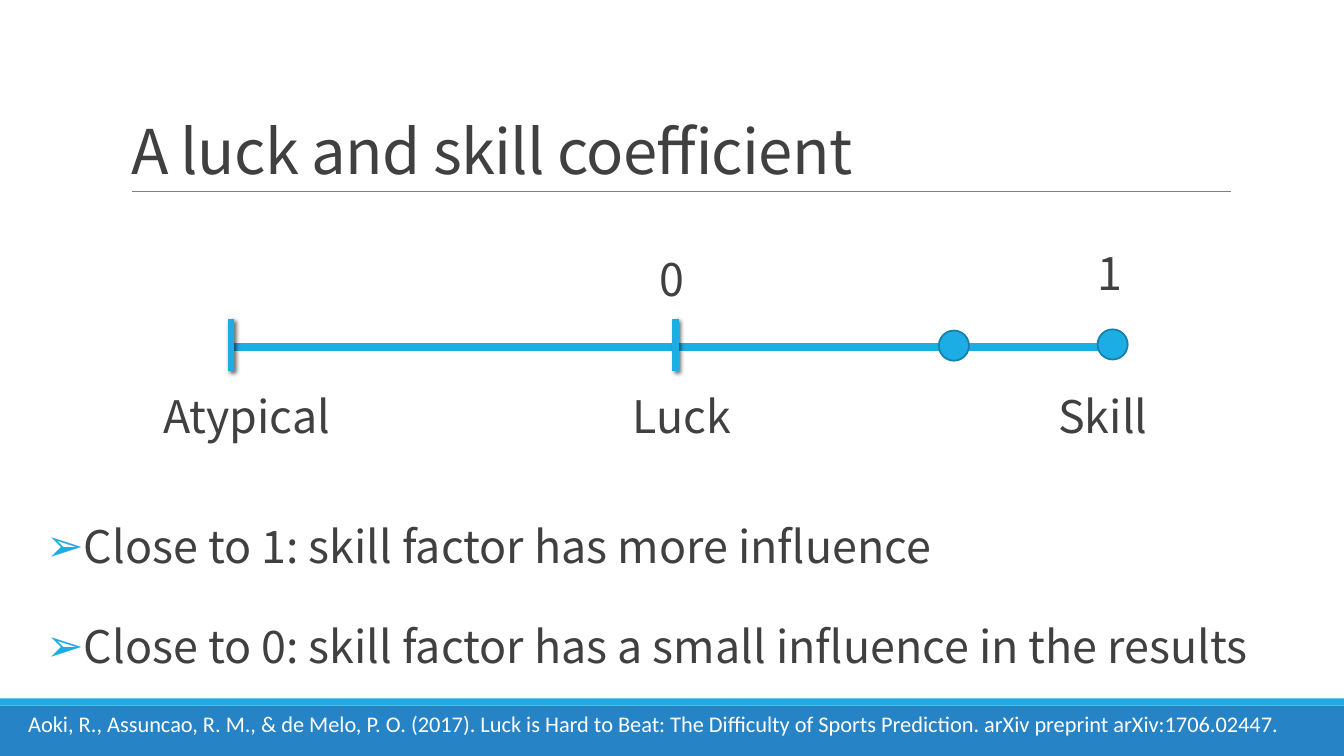
import pptx
import pptx.dml.color
import pptx.enum.shapes
import pptx.enum.text
import pptx.oxml
import pptx.oxml.ns
import pptx.util
import lxml.etree

Cm = pptx.util.Cm
Pt = pptx.util.Pt
Shape = pptx.enum.shapes.MSO_SHAPE
Anchor = pptx.enum.text.MSO_ANCHOR
qn = pptx.oxml.ns.qn

COLOURS = {
    "text": "404040",
    "accent": "1CADE4",
    "outline": "1580A9",
    "band": "2683C6",
    "rule": "808080",
    "shadow": "000000",
    "white": "FFFFFF",
}
HEADING_FONT = "Noto Sans CJK SC"
CITATION_FONT = "Calibri"
PAGE_WIDTH, PAGE_HEIGHT = 33.87, 19.05


def colour(name):
    return pptx.dml.color.RGBColor.from_string(COLOURS[name])


def add_span(para, text, size, font=HEADING_FONT, ink="text"):
    span = para.add_run()
    span.text = text
    span.font.name = font
    span.font.size = Pt(size)
    span.font.color.rgb = colour(ink)
    return span


def place(shape, left, top, width, height):
    shape.left, shape.top = Cm(left), Cm(top)
    shape.width, shape.height = Cm(width), Cm(height)


def add_label(page, text, left, top, width, height):
    box = page.shapes.add_textbox(Cm(left), Cm(top), Cm(width), Cm(height))
    box.text_frame.word_wrap = True
    para = box.text_frame.paragraphs[0]
    para.line_spacing = 0.9
    add_span(para, text, 32)


def add_filled(page, kind, left, top, width, height, fill, outline=None):
    shape = page.shapes.add_shape(kind, Cm(left), Cm(top), Cm(width), Cm(height))
    shape.shadow.inherit = False
    shape.fill.solid()
    shape.fill.fore_color.rgb = colour(fill)
    if outline:
        shape.line.color.rgb = colour(outline)
        shape.line.width = Pt(1.25)
    else:
        shape.line.fill.background()


def add_line(page, start, end, ink, weight, shadow=False):
    line = page.shapes.add_connector(
        pptx.enum.shapes.MSO_CONNECTOR.STRAIGHT, *(Cm(value) for value in start + end))
    line.line.color.rgb = colour(ink)
    line.line.width = Pt(weight)
    effects = lxml.etree.SubElement(line._element.spPr, qn("a:effectLst"))
    if shadow:
        outer = lxml.etree.SubElement(
            effects, qn("a:outerShdw"), blurRad=str(Pt(3)), dist=str(Pt(2)),
            dir="2700000", algn="tl", rotWithShape="0")
        shade = lxml.etree.SubElement(outer, qn("a:srgbClr"), val=COLOURS["shadow"])
        lxml.etree.SubElement(shade, qn("a:alpha"), val="60000")


def build_title(page, left, top, width, height):
    title = page.shapes.title
    place(title, left, top, width, height)
    title.text_frame.auto_size = pptx.enum.text.MSO_AUTO_SIZE.NONE
    title.text_frame.vertical_anchor = Anchor.BOTTOM
    para = title.text_frame.paragraphs[0]
    para.alignment = pptx.enum.text.PP_ALIGN.LEFT
    para.line_spacing = 0.85
    span = add_span(para, "A luck and skill coefficient", 44)
    span.font._element.set("spc", "-50")
    # Rule under the title
    bottom = top + height
    add_line(page, (left + 0.28, bottom), (left + width + 0.02, bottom), "rule", 0.5)


def build_scale(page, left, top, width, height):
    axis = top + height / 2
    middle = left + width / 2
    right = left + width
    add_line(page, (left, axis + 0.05), (right, axis + 0.05), "accent", 6)

    # Ticks at the left end and the middle
    for tick in (middle + 0.09, left):
        add_line(page, (tick, top), (tick, top + height), "accent", 4.5, shadow=True)

    # Markers: an example value and the skill end
    diameter = 0.76
    for centre, rise in ((left + 0.82 * width, 0), (right, 0.03)):
        add_filled(page, Shape.OVAL, centre - diameter / 2,
                   axis + 0.02 - rise - diameter / 2,
                   diameter, diameter, "accent", "outline")

    # Names below the axis
    for name, label_left, label_width in (
            ("Atypical", left - 1.96, 5.69),
            ("Luck", middle - 1.23, 4.04),
            ("Skill", right - 1.62, 4.04)):
        add_label(page, name, label_left, top + 1.8, label_width, 1.88)

    # Values above the axis
    for value, label_left, rise in (("0", middle - 0.55, 1.65), ("1", right - 0.63, 1.81)):
        add_label(page, value, label_left, top - rise, 2.03, 1.83)


def build_points(page, left, top, width, height):
    body = page.placeholders[1]
    place(body, left, top, width, height)
    frame = body.text_frame
    frame.auto_size = pptx.enum.text.MSO_AUTO_SIZE.NONE
    frame.vertical_anchor = Anchor.TOP
    points = (
        "Close to 1: skill factor has more influence",
        "Close to 0: skill factor has a small influence in the results",
    )
    for index, text in enumerate(points):
        para = frame.add_paragraph() if index else frame.paragraphs[0]
        para.line_spacing = 1.0
        para.space_before = Pt(33 if index else 0)
        para.space_after = Pt(0)
        properties = para._p.get_or_add_pPr()
        properties.set("marL", str(Cm(0.25)))
        properties.set("indent", str(-Cm(0.25)))
        bullet_colour = lxml.etree.SubElement(properties, qn("a:buClr"))
        lxml.etree.SubElement(bullet_colour, qn("a:srgbClr"), val=COLOURS["accent"])
        lxml.etree.SubElement(properties, qn("a:buChar"), char="➢")
        add_span(para, text, 32)


def build_footer(page, left, top, width, height):
    stripe = 0.18
    add_filled(page, Shape.RECTANGLE, left, top + stripe, width, height - stripe, "band")
    add_filled(page, Shape.RECTANGLE, left, top, width, stripe, "accent")
    # Citation
    box = page.shapes.add_textbox(
        Cm(left + 0.46), Cm(top + stripe), Cm(width - 0.46), Cm(0.94))
    box.text_frame.word_wrap = True
    add_span(
        box.text_frame.paragraphs[0],
        "Aoki, R., Assuncao, R. M., & de Melo, P. O. (2017). Luck is Hard to Beat: "
        "The Difficulty of Sports Prediction. arXiv preprint arXiv:1706.02447.",
        16, CITATION_FONT, "white")


def main():
    deck = pptx.Presentation()
    deck.slide_width, deck.slide_height = Cm(PAGE_WIDTH), Cm(PAGE_HEIGHT)
    page = deck.slides.add_slide(deck.slide_layouts[1])
    page.background.fill.solid()
    page.background.fill.fore_color.rgb = colour("white")
    build_footer(page, 0, 17.6, PAGE_WIDTH, 1.45)
    build_title(page, 3.05, 0.79, 27.94, 4.04)
    build_scale(page, 5.82, 8.03, 22.22, 1.32)
    build_points(page, 0.91, 12.95, 31.95, 4.4)
    deck.save("out.pptx")


if __name__ == "__main__":
    main()
